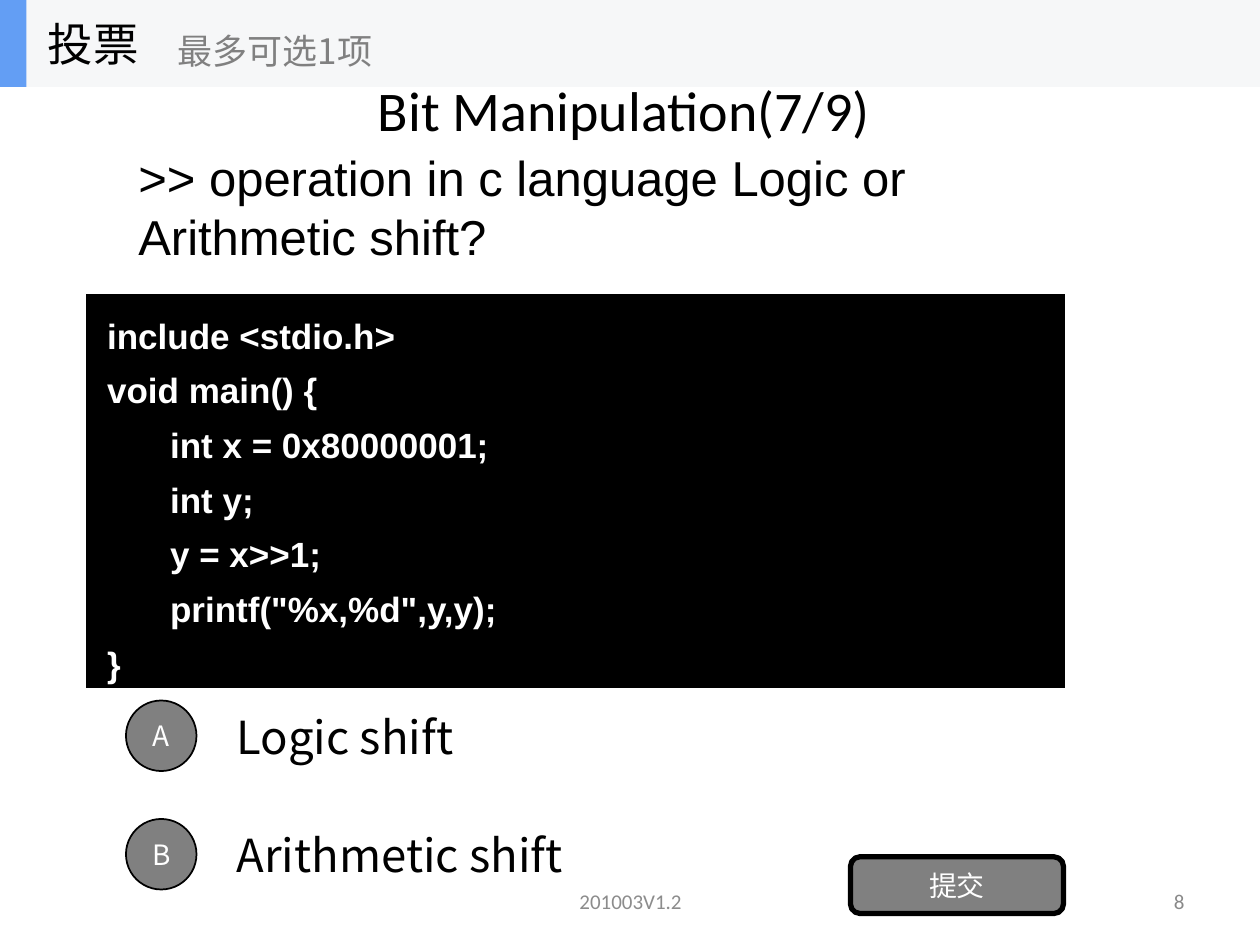
from dataclasses import dataclass
from lxml.etree import SubElement
from pptx import Presentation
from pptx.dml.color import RGBColor
from pptx.enum.shapes import MSO_SHAPE
from pptx.enum.text import MSO_ANCHOR, PP_ALIGN
from pptx.oxml.ns import qn
from pptx.util import Inches, Pt


@dataclass(frozen=True)
class Theme:
    """Colours, fonts and type sizes of the slide."""
    black: str = "000000"
    white: str = "FFFFFF"
    gray: str = "808080"
    pale: str = "F6F7F8"
    blue: str = "639EF4"
    note: str = "8C8C8C"
    page: str = "898989"
    sans: str = "Arial"
    head: str = "Calibri"
    cjk: str = "Noto Sans CJK SC"
    title: int = 32
    ask: int = 28
    item: int = 26
    code: int = 20
    mark: int = 16
    foot: int = 12


THEME = Theme()
LEFT, MID, RIGHT = PP_ALIGN.LEFT, PP_ALIGN.CENTER, PP_ALIGN.RIGHT


def write(shape, text, size, color, font, align=LEFT, bold=False):
    """Put styled text in a shape, centred vertically."""
    frame = shape.text_frame
    frame.text = text
    frame.word_wrap = True
    frame.vertical_anchor = MSO_ANCHOR.MIDDLE
    for para in frame.paragraphs:
        para.alignment = align
        for run in para.runs:
            run.font.size = Pt(size)
            run.font.bold = bold
            run.font.color.rgb = RGBColor.from_string(color)
            run.font.name = font
            SubElement(run.font._element, qn("a:ea"), typeface=font)
    return frame


def label(slide, box, *style, **more):
    """Add a text box."""
    shape = slide.shapes.add_textbox(*map(Inches, box))
    return write(shape, *style, **more)


def block(slide, box, fill, kind=MSO_SHAPE.RECTANGLE, line=None, width=1):
    """Add a flat filled shape with an optional outline."""
    shape = slide.shapes.add_shape(kind, *map(Inches, box))
    shape.shadow.inherit = False
    shape.fill.solid()
    shape.fill.fore_color.rgb = RGBColor.from_string(fill)
    if line:
        shape.line.color.rgb = RGBColor.from_string(line)
        shape.line.width = Pt(width)
    else:
        shape.line.fill.background()
    return shape


def banner(slide, box, title, hint):
    """Draw the top bar with its accent, title and hint."""
    x, y, w, h = box
    block(slide, box, THEME.pale)
    block(slide, (x, y, 0.21, h), THEME.blue)
    label(slide, (x + 0.28, y, 2.08, h), title, THEME.item, THEME.black, THEME.cjk)
    label(slide, (x + 1.31, y + 0.12, 2.5, 0.56), hint, THEME.code, THEME.gray, THEME.cjk)


def listing(slide, box, code):
    """Draw the code panel."""
    shape = block(slide, box, THEME.black, line=THEME.white, width=1.5)
    frame = write(shape, code, THEME.code, THEME.white, THEME.sans, bold=True)
    frame.vertical_anchor = MSO_ANCHOR.TOP
    frame.margin_left = frame.margin_right = Inches(0.18)
    frame.margin_top, frame.margin_bottom = Inches(0.09), Inches(0.17)
    for para in frame.paragraphs:
        para.line_spacing = 1.25
        para.space_before = Pt(1.25)


def choices(slide, box, items):
    """Stack lettered answers at equal steps."""
    x, y, w, h = box
    step, size = h / len(items), 0.56
    for row, (mark, text) in enumerate(items):
        top = y + row * step
        label(slide, (x + 0.78, top, w - 0.78, 0.7), text, THEME.item, THEME.black, THEME.cjk)
        disc = block(slide, (x, top + 0.07, size, size), THEME.gray, MSO_SHAPE.OVAL, THEME.black)
        frame = write(disc, mark, THEME.mark, THEME.white, THEME.cjk, MID)
        frame.margin_left = frame.margin_right = 0


def button(slide, box, text):
    """Draw the submit button."""
    shape = block(slide, box, THEME.gray, MSO_SHAPE.ROUNDED_RECTANGLE, THEME.black, 3)
    write(shape, text, THEME.mark, THEME.white, THEME.cjk, MID)


def footer(slide, box, note, page):
    """Write the version note and page number."""
    x, y, w, h = box
    label(slide, (x, y, 3.17, h), note, THEME.foot, THEME.note, THEME.head, MID)
    label(slide, (x + w - 2.33, y, 2.33, h), page, THEME.foot, THEME.page, THEME.head, RIGHT)


def main():
    """Build and save the poll slide."""
    deck = Presentation()
    deck.slide_width, deck.slide_height = Inches(10), Inches(7.5)
    slide = deck.slides.add_slide(deck.slide_layouts[6])
    footer(slide, (3.42, 6.95, 6.08, 0.4), "201003V1.2", "8")
    label(slide, (1, 0.47, 8, 2.34), ">> operation in c language Logic or Arithmetic shift?",
          THEME.ask, THEME.black, THEME.sans)
    choices(slide, (1, 5.49, 7.78, 1.88), [("A", "Logic shift"), ("B", "Arithmetic shift")])
    button(slide, (6.75, 6.8, 1.69, 0.45), "提交")
    listing(slide, (0.67, 2.32, 7.79, 3.15), "\n".join([
        "include <stdio.h>",
        "void main() {",
        "\tint x = 0x80000001;",
        "\tint y;",
        "\ty = x>>1;",
        '\tprintf("%x,%d",y,y);',
        "}",
    ]))
    label(slide, (0.27, 0.44, 9.37, 0.85), "Bit Manipulation(7/9)",
          THEME.title, THEME.black, THEME.head, MID)
    banner(slide, (0, 0, 10, 0.69), "投票", "最多可选1项")
    deck.save("out.pptx")


if __name__ == "__main__":
    main()
